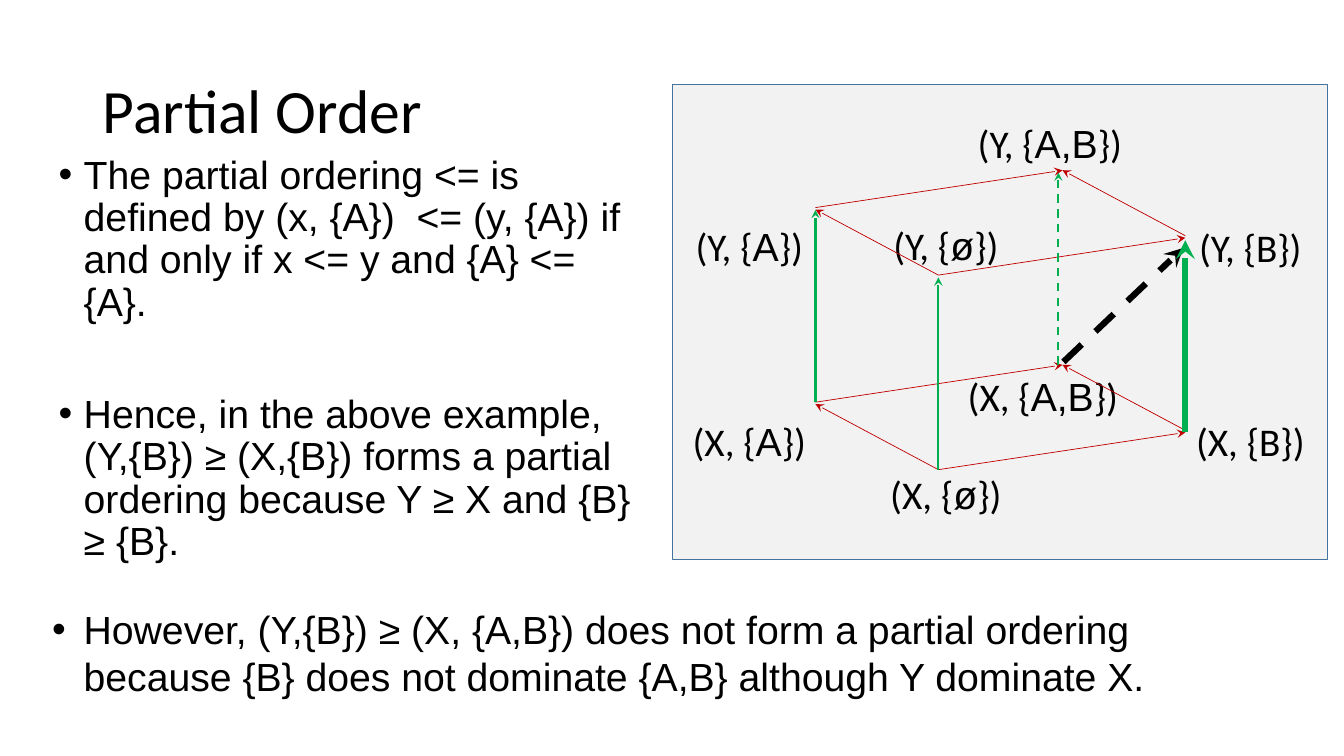
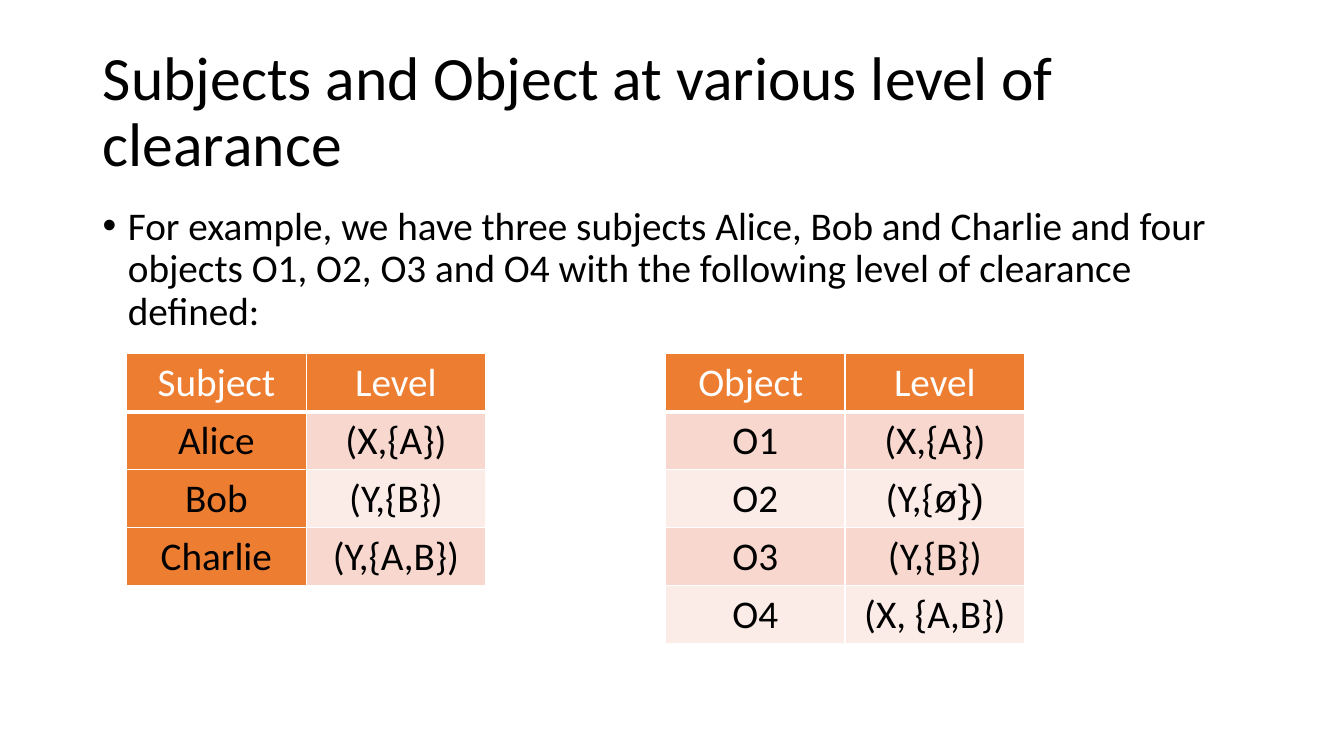
from dataclasses import dataclass

from lxml import etree
from pptx import Presentation
from pptx.dml.color import RGBColor
from pptx.enum.dml import MSO_LINE
from pptx.enum.shapes import MSO_CONNECTOR, MSO_SHAPE
from pptx.enum.text import MSO_ANCHOR, MSO_AUTO_SIZE, PP_ALIGN
from pptx.oxml.ns import qn
from pptx.util import Pt

DASH = MSO_LINE.DASH
STRAIGHT = MSO_CONNECTOR.STRAIGHT
RECT = MSO_SHAPE.RECTANGLE
TOP, MIDDLE = MSO_ANCHOR.TOP, MSO_ANCHOR.MIDDLE
FIXED = MSO_AUTO_SIZE.NONE
LEFT, CENTER = PP_ALIGN.LEFT, PP_ALIGN.CENTER

SANS, PLAIN = "Calibri", "Arial"
BLACK, WHITE = "000000", "FFFFFF"
RED, GREEN = "C00000", "00B050"
PANEL, FRAME = "F2F2F2", "43739E"
ORANGE, ROSE, BLUSH = "ED7D31", "F8D7CE", "FCECE8"
TITLE_SIZE, TEXT_SIZE = 44, 28
TITLE_BOX = (66.2, 28.8, 828, 104.4)
ROW, COL = 41.4, 128.3


@dataclass
class Label:
    left: float
    top: float
    wide: float
    runs: list[tuple[str, str]]


@dataclass
class Arrow:
    start: tuple[float, float]
    move: tuple[float, float]
    color: str
    width: float
    dashed: bool = False


@dataclass
class Item:
    text: str
    gap: float = 0


def paint(color: str) -> RGBColor:
    return RGBColor.from_string(color)


def place(shape, box: tuple) -> None:
    shape.left, shape.top, shape.width, shape.height = map(Pt, box)


def style(para, size: float, color: str = BLACK, name: str | None = None) -> None:
    para.font.size = Pt(size)
    para.font.color.rgb = paint(color)
    if name:
        para.font.name = name


def write(para, runs: list[tuple[str, str]], color: str = BLACK) -> None:
    para.alignment = CENTER
    fonts = {font for _, font in runs}
    style(para, TEXT_SIZE, color, fonts.pop() if len(fonts) == 1 else None)
    for text, font in runs:
        run = para.add_run()
        run.text = text
        if fonts:
            run.font.name = font


def fill_list(frame, items: list[Item], font: str, indent: float, spacing: float) -> None:
    frame.word_wrap = True
    frame.auto_size = FIXED
    frame.vertical_anchor = TOP
    for i, item in enumerate(items):
        para = frame.add_paragraph() if i else frame.paragraphs[0]
        para.text = item.text
        para.alignment = LEFT
        para.line_spacing = spacing
        para.space_before = Pt(item.gap)
        props = para._p.get_or_add_pPr()
        props.set("marL", str(Pt(indent)))
        props.set("indent", str(-Pt(indent)))
        etree.SubElement(props, qn("a:buFont")).set("typeface", PLAIN)
        etree.SubElement(props, qn("a:buChar")).set("char", "•")
        style(para, TEXT_SIZE, name=font)


def start_slide(deck, title: str, box: tuple, items: list[Item], font: str):
    slide = deck.slides.add_slide(deck.slide_layouts[1])
    head, body = slide.placeholders
    place(head, TITLE_BOX)
    frame = head.text_frame
    frame.word_wrap = True
    frame.auto_size = FIXED
    frame.vertical_anchor = MIDDLE
    para = frame.paragraphs[0]
    para.text = title
    para.alignment = LEFT
    para.line_spacing = 0.9
    style(para, TITLE_SIZE, name=SANS)
    place(body, box)
    fill_list(body.text_frame, items, font, 18, 0.9)
    return slide


def draw_label(shapes, label: Label) -> None:
    box = shapes.add_textbox(Pt(label.left), Pt(label.top), Pt(label.wide), Pt(ROW))
    box.text_frame.word_wrap = True
    write(box.text_frame.paragraphs[0], label.runs)


def draw_arrow(shapes, arrow: Arrow) -> None:
    (x, y), (dx, dy) = arrow.start, arrow.move
    link = shapes.add_connector(STRAIGHT, Pt(x), Pt(y), Pt(x + dx), Pt(y + dy))
    link.line.color.rgb = paint(arrow.color)
    link.line.width = Pt(arrow.width)
    if arrow.dashed:
        link.line.dash_style = DASH
    props = link._element.spPr
    etree.SubElement(props.find(qn("a:ln")), qn("a:tailEnd")).set("type", "stealth")
    etree.SubElement(props, qn("a:effectLst"))


def node(level: str, member: str, font: str) -> list[tuple[str, str]]:
    if font == SANS:
        return [(f"({level}, {{{member}}})", SANS)]
    return [(f"({level}, {{", SANS), (member, font), ("})", SANS)]


def draw_cube(slide) -> None:
    shapes = slide.shapes.add_group_shape().shapes
    panel = shapes.add_shape(RECT, Pt(480.2), Pt(60.5), Pt(468), Pt(339.1))
    panel.shadow.inherit = False
    panel.fill.solid()
    panel.fill.fore_color.rgb = paint(PANEL)
    panel.line.color.rgb = paint(FRAME)
    panel.line.width = Pt(1)
    draw_arrow(shapes, Arrow((759.6, 258.5), (85.7, -81.4), BLACK, 4.5, True))

    front, left, right, back = (670.3, 335.5), (582.5, 287.3), (846.7, 307.4), (756, 260.6)
    across, aside = (176.4, -26.6), (-87.8, -46.8)
    edges = [(front, across), (front, aside), (left, across), (right, aside)]
    spots = {
        "X": [(838.1, 294.5), (620.6, 332.6), (480.2, 294.5), (675.4, 262.1)],
        "Y": [(838.1, 156.2), (620.6, 154.8), (480.2, 155.5), (680.4, 81.4)],
    }
    names = [("B", SANS, 110), ("ø", PLAIN, 110), ("A", PLAIN, 110), ("A,B", PLAIN, 139)]
    for (level, places), lift in zip(spots.items(), (0, 139)):
        for (x, y), (member, font, wide) in zip(places, names):
            draw_label(shapes, Label(x, y, wide, node(level, member, font)))
        for (x, y), move in edges:
            draw_arrow(shapes, Arrow((x, y - lift), move, RED, 0.5))

    rise = (0, -137.3)
    for arrow in (
        Arrow(left, rise, GREEN, 1.5),
        Arrow(front, rise, GREEN, 1.5),
        Arrow((846.7, 308.9), rise, GREEN, 4.5),
        Arrow(back, rise, GREEN, 1.5, True),
    ):
        draw_arrow(shapes, arrow)


def edge_cell(cell, base: float) -> None:
    props = cell._tc.get_or_add_tcPr()
    for i, (side, width) in enumerate((("L", 1), ("R", 1), ("T", 1), ("B", base))):
        line = etree.Element(qn(f"a:ln{side}"), w=str(Pt(width)))
        solid = etree.SubElement(line, qn("a:solidFill"))
        etree.SubElement(solid, qn("a:srgbClr")).set("val", WHITE)
        props.insert(i, line)


def draw_table(slide, rows: list[list[str]]) -> None:
    count, span = len(rows), len(rows[0])
    frame = slide.shapes.add_table(count, span, Pt(90.4), Pt(252.7), Pt(COL * span), Pt(ROW * count))
    table = frame.table
    table.horz_banding = False
    for col in table.columns:
        col.width = Pt(COL)
    for i, row in enumerate(rows):
        table.rows[i].height = Pt(ROW)
        for j, text in enumerate(row):
            cell = table.cell(i, j)
            edge_cell(cell, 1 if i else 3)
            para = cell.text_frame.paragraphs[0]
            if not text:
                cell.fill.background()
                style(para, TEXT_SIZE, name=SANS)
                continue
            cell.fill.solid()
            shade = ORANGE if i == 0 or j == 0 else ROSE if i % 2 else BLUSH
            cell.fill.fore_color.rgb = paint(shade)
            cut = text.find("ø")
            runs = [(text, SANS)] if cut < 0 else [(text[:cut], SANS), (text[cut:], PLAIN)]
            write(para, runs, BLACK if i else WHITE)
            para.font.bold = False


def order_slide(deck) -> None:
    items = [
        Item("The partial ordering <= is defined by (x, {A})  <= (y, {A}) if and only if x <= y and {A} <= {A}."),
        Item("Hence, in the above example, (Y,{B}) ≥ (X,{B}) forms a partial ordering because Y ≥ X and {B} ≥ {B}.", 50),
    ]
    slide = start_slide(deck, "Partial Order", (34.6, 107.3, 428.4, 246.2), items, PLAIN)
    note = slide.shapes.add_textbox(Pt(30.2), Pt(429.1), Pt(859.7), Pt(74.9))
    text = "However, (Y,{B}) ≥ (X, {A,B}) does not form a partial ordering because {B} does not dominate {A,B} although Y dominate X."
    fill_list(note.text_frame, [Item(text)], PLAIN, 22.5, 1.0)
    draw_cube(slide)


def level_slide(deck) -> None:
    text = "For example, we have three subjects Alice, Bob and Charlie and four objects O1, O2, O3 and O4 with the following level of clearance defined:"
    title = "Subjects and Object at various level of clearance"
    slide = start_slide(deck, title, (66.2, 144, 828, 342.7), [Item(text)], SANS)
    draw_table(slide, [
        ["Subject", "Level", "", "Object ", "Level"],
        ["Alice", "(X,{A})", "", "O1", "(X,{A})"],
        ["Bob", "(Y,{B})", "", "O2", "(Y,{ø})"],
        ["Charlie", "(Y,{A,B})", "", "O3", "(Y,{B})"],
        ["", "", "", "O4", "(X, {A,B})"],
    ])


def main() -> None:
    deck = Presentation()
    deck.slide_width, deck.slide_height = Pt(960), Pt(540)
    order_slide(deck)
    level_slide(deck)
    deck.save("out.pptx")


if __name__ == "__main__":
    main()
